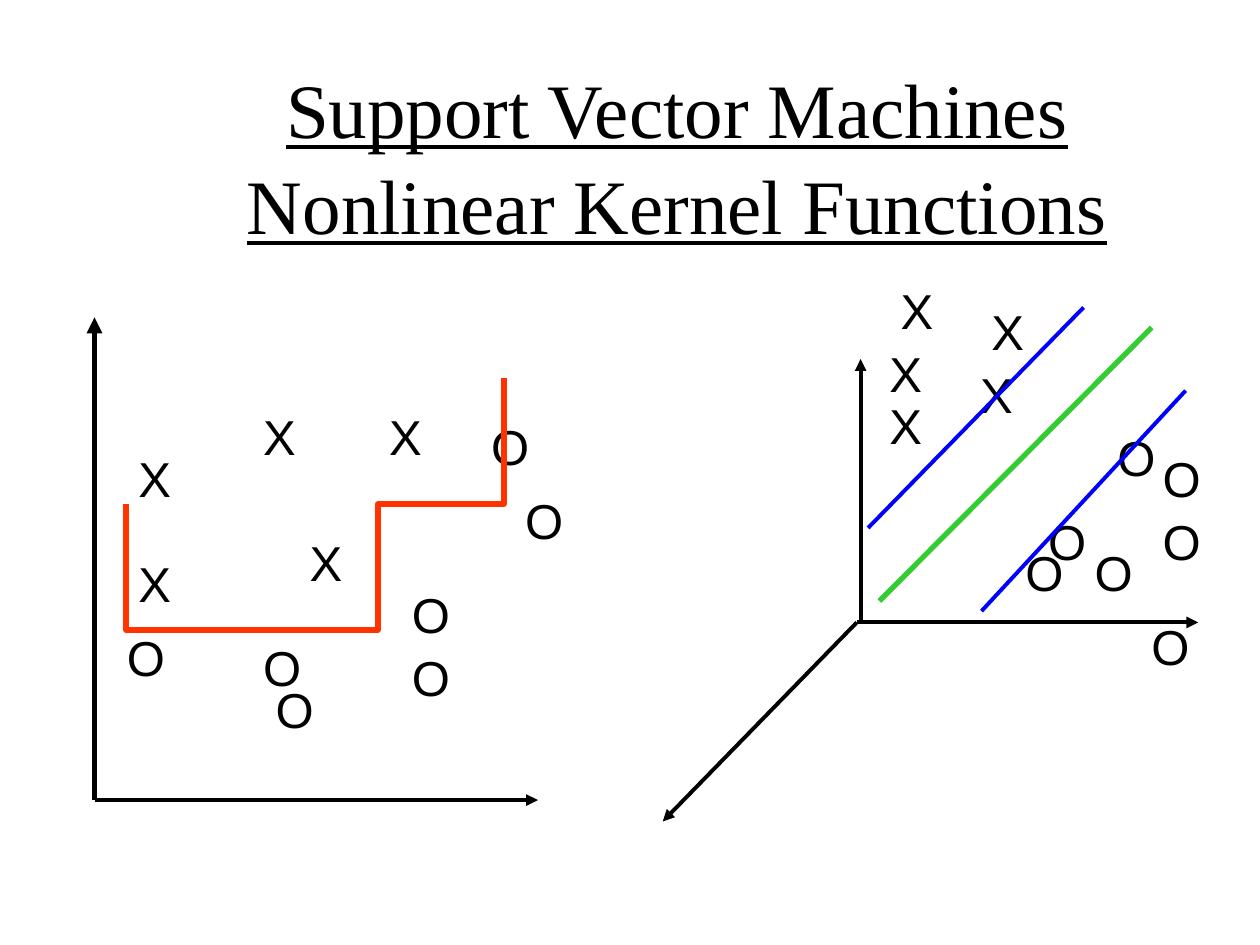
from dataclasses import dataclass
from typing import Any

from pptx import Presentation
from pptx import util as u
from pptx.dml.color import RGBColor
from pptx.enum import shapes, text
from pptx.oxml import ns, xmlchemy as xc


@dataclass(frozen=True)
class Theme:
    ink: str = "000000"
    paper: str = "FFFFFF"
    curve: str = "FF3300"
    plane: str = "33CC33"
    edge: str = "0000FF"
    serif: str = "Times New Roman"
    sans: str = "Arial"
    head: int = 44
    mark: int = 28
    bold: float = 3
    thin: float = 2.25


@dataclass(frozen=True)
class Line:
    start: tuple[float, float]
    end: tuple[float, float]
    color: str
    width: float
    arrow: bool = False


@dataclass(frozen=True)
class Marks:
    sign: str
    width: float
    spots: list[tuple[float, float]]


T = Theme()

AXES = [
    Line((0.75, 6.35), (0.75, 2.52), T.ink, T.bold, True),
    Line((0.75, 6.35), (4.27, 6.35), T.ink, T.thin, True),
    Line((6.8, 4.94), (9.51, 4.94), T.ink, T.thin, True),
    Line((6.8, 4.94), (5.26, 6.52), T.ink, T.thin, True),
    Line((6.83, 4.94), (6.83, 2.85), T.ink, T.thin, True),
]
PLANES = [
    Line((6.98, 4.77), (9.14, 2.6), T.plane, T.bold),
    Line((6.89, 4.19), (8.6, 2.44), T.edge, T.thin),
    Line((7.79, 4.85), (9.41, 3.1), T.edge, T.thin),
]
INPUT = [
    Marks("X", 0.46, [(1, 4.34), (1.99, 3.18), (1, 3.51), (2.99, 3.18), (2.36, 4.18)]),
    Marks("O", 0.5, [(0.91, 4.93), (1.99, 5.01), (3.17, 4.59), (3.8, 3.26),
                     (2.09, 5.34), (3.17, 5.09), (4.07, 3.84)]),
]
MAPPED = [
    Marks("X", 0.46, [(6.96, 2.68), (7.77, 2.34), (6.96, 3.09), (7.68, 2.84), (7.05, 2.18)]),
    Marks("O", 0.5, [(8.59, 4.26), (9.13, 3.51), (8.22, 4.01), (9.13, 4.01),
                     (8.04, 4.26), (8.77, 3.34), (9.04, 4.84)]),
]
BOUND = [
    (0.93, 4.44),
    (0.94, 4.6), (0.96, 4.77), (1.02, 4.85),
    (1.08, 4.94), (1.18, 4.91), (1.29, 4.94),
    (1.4, 4.97), (1.52, 5.01), (1.65, 5.02),
    (1.79, 5.03), (1.97, 5.05), (2.1, 5.02),
    (2.24, 4.99), (2.34, 4.91), (2.46, 4.85),
    (2.58, 4.8), (2.72, 4.78), (2.82, 4.69),
    (2.93, 4.59), (2.99, 4.38), (3.1, 4.27),
    (3.2, 4.16), (3.37, 4.12), (3.46, 4.02),
    (3.55, 3.92), (3.59, 3.8), (3.64, 3.69),
    (3.68, 3.58), (3.67, 3.44), (3.73, 3.35),
    (3.79, 3.27), (3.89, 3.22), (4, 3.19),
    (4.1, 3.16), (4.23, 3.17), (4.36, 3.19),
]


def style(font: Any, name: str, size: int) -> None:
    font.name, font.size = name, u.Pt(size)
    font.color.rgb = RGBColor.from_string(T.ink)


def stroke(line: Any, color: str, width: float) -> None:
    line.color.rgb = RGBColor.from_string(color)
    line.width = u.Pt(width)


def add_title(pool: Any) -> None:
    box = pool.add_textbox(u.Inches(1.06), u.Inches(0.28), u.Inches(8.63), u.Inches(1.8))
    stroke(box.line, T.paper, T.thin)
    frame = box.text_frame
    frame.word_wrap = True
    frame.vertical_anchor = text.MSO_ANCHOR.MIDDLE
    frame.margin_top = u.Inches(0.13)
    para = frame.paragraphs[0]
    para.text = "Support Vector Machines\vNonlinear Kernel Functions"
    para.alignment = text.PP_ALIGN.CENTER
    para.line_spacing = 1.04
    style(para.font, T.serif, T.head)
    para.font.underline = True


def add_line(pool: Any, item: Line) -> None:
    ends = [u.Inches(n) for n in (*item.start, *item.end)]
    link = pool.add_connector(shapes.MSO_CONNECTOR.STRAIGHT, *ends)
    stroke(link.line, item.color, item.width)
    if item.arrow:
        tip = xc.OxmlElement("a:tailEnd")
        tip.set("type", "triangle")
        link.line._get_or_add_ln().append(tip)
    link._element.spPr.append(xc.OxmlElement("a:effectLst"))


def add_marks(pool: Any, item: Marks) -> None:
    for left, top in item.spots:
        box = pool.add_textbox(u.Inches(left), u.Inches(top), u.Inches(item.width), u.Inches(0.57))
        frame = box.text_frame
        frame.word_wrap = False
        frame.auto_size = text.MSO_AUTO_SIZE.SHAPE_TO_FIT_TEXT
        para = frame.paragraphs[0]
        para.text = item.sign
        style(para.font, T.sans, T.mark)


def add_curve(pool: Any, spots: list[tuple[float, float]]) -> None:
    pen = pool.build_freeform(*spots[0], scale=float(u.Inches(1)))
    pen.add_line_segments(spots[1:], close=False)
    shape = pen.convert_to_shape()
    shape.shadow.inherit = False
    shape.fill.background()
    stroke(shape.line, T.curve, T.bold)
    legs = list(shape._element.iter(ns.qn("a:lnTo")))
    for i in range(0, len(legs), 3):
        bend = xc.OxmlElement("a:cubicBezTo")
        legs[i].addprevious(bend)
        for leg in legs[i:i + 3]:
            bend.append(leg[0])
            leg.getparent().remove(leg)


def main() -> None:
    """Build the slide on nonlinear kernel functions."""
    deck = Presentation()
    deck.slide_width, deck.slide_height = u.Inches(10), u.Inches(7.5)
    slide = deck.slides.add_slide(deck.slide_layouts[6])
    add_title(slide.shapes)
    pool = slide.shapes.add_group_shape().shapes
    for item in AXES:
        add_line(pool, item)
    for item in INPUT:
        add_marks(pool, item)
    add_curve(pool, BOUND)
    for item in MAPPED:
        add_marks(pool, item)
    for item in PLANES:
        add_line(pool, item)
    deck.save("out.pptx")


if __name__ == "__main__":
    main()
